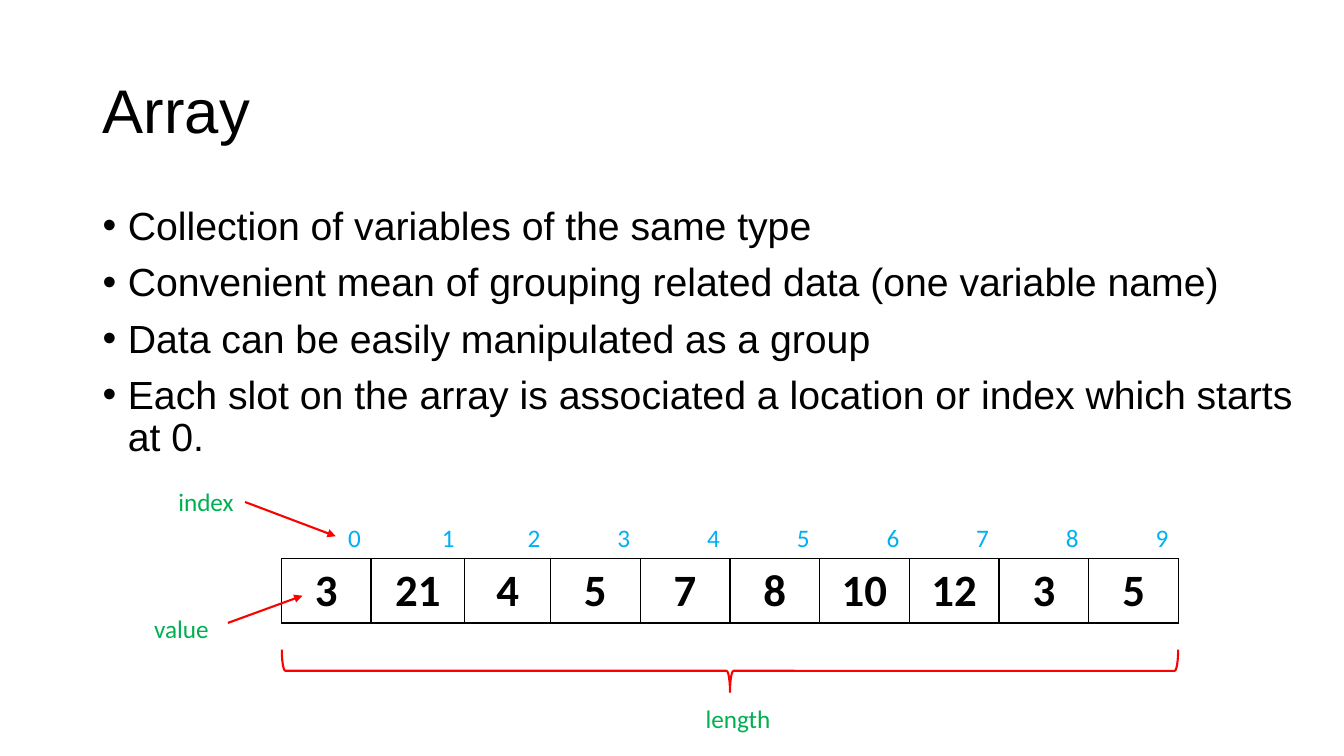
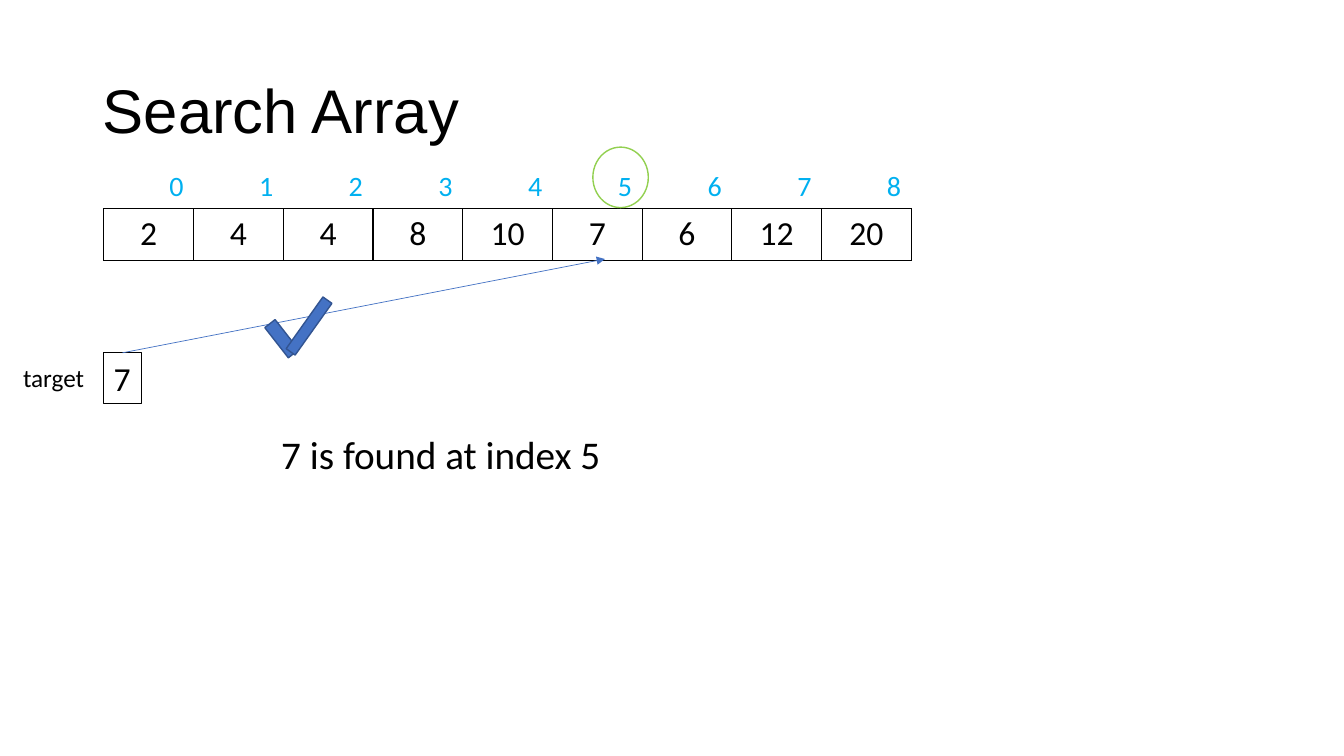
"""Build two slides that explain arrays and searching an array."""
from dataclasses import dataclass

from lxml.etree import SubElement
from pptx import Presentation
from pptx.dml.color import RGBColor
from pptx.enum.shapes import MSO_CONNECTOR, MSO_SHAPE
from pptx.enum.text import MSO_ANCHOR, MSO_AUTO_SIZE, PP_ALIGN
from pptx.oxml import parse_xml
from pptx.oxml.ns import nsdecls, qn
from pptx.util import Pt

PX = 9144
TITLE_ONLY = 5


@dataclass(frozen=True)
class Theme:
    heading_font: str = "Arial"
    label_font: str = "Calibri"
    ink: RGBColor = RGBColor(0x00, 0x00, 0x00)
    index: RGBColor = RGBColor(0x00, 0xB0, 0xF0)
    note: RGBColor = RGBColor(0x00, 0xB0, 0x50)
    pointer: RGBColor = RGBColor(0xFF, 0x00, 0x00)
    accent: RGBColor = RGBColor(0x44, 0x72, 0xC4)
    accent_edge: RGBColor = RGBColor(0x32, 0x54, 0x91)
    highlight: RGBColor = RGBColor(0x92, 0xD0, 0x50)
    title_size: int = 44
    body_size: int = 28
    value_size: int = 24
    large_value_size: int = 32
    large_index_size: int = 20
    label_size: int = 18


THEME = Theme()


def px(*lengths):
    return [length * PX for length in lengths]


def add_run(paragraph, text, size, color=THEME.ink, font=THEME.label_font, bold=False):
    run = paragraph.add_run()
    run.text = text
    run.font.name = font
    run.font.size = Pt(size)
    run.font.bold = bold
    run.font.color.rgb = color


def add_titled_slide(prs, title_text):
    slide = prs.slides.add_slide(prs.slide_layouts[TITLE_ONLY])
    title = slide.shapes.title
    title.left, title.top, title.width, title.height = px(92, 40, 1150, 145)
    title.text_frame.vertical_anchor = MSO_ANCHOR.MIDDLE
    paragraph = title.text_frame.paragraphs[0]
    paragraph.alignment = PP_ALIGN.LEFT
    paragraph.line_spacing = 0.9
    add_run(paragraph, title_text, THEME.title_size, font=THEME.heading_font)
    return slide


def add_bullets(slide, box, points):
    frame = slide.shapes.add_textbox(*px(*box)).text_frame
    frame.word_wrap = True
    for number, point in enumerate(points):
        paragraph = frame.add_paragraph() if number else frame.paragraphs[0]
        paragraph.line_spacing = 0.9
        paragraph.space_before = Pt(10)
        properties = paragraph._p.get_or_add_pPr()
        properties.set("marL", str(25 * PX))
        properties.set("indent", str(-25 * PX))
        SubElement(properties, qn("a:buFont"), typeface=THEME.heading_font)
        SubElement(properties, qn("a:buChar"), char="•")
        add_run(paragraph, point, THEME.body_size, font=THEME.heading_font)


def add_label(slide, box, text, size=THEME.label_size, color=THEME.ink):
    label = slide.shapes.add_textbox(*px(*box))
    label.text_frame.word_wrap = False
    label.text_frame.auto_size = MSO_AUTO_SIZE.SHAPE_TO_FIT_TEXT
    add_run(label.text_frame.paragraphs[0], text, size, color)
    return label


def set_borders(cell, sides):
    properties = cell._tc.get_or_add_tcPr()
    for position, side in enumerate(sides):
        properties.insert(position, parse_xml(
            f'<a:ln{side} {nsdecls("a")} w="{Pt(1)}"><a:solidFill>'
            f'<a:srgbClr val="{THEME.ink}"/></a:solidFill></a:ln{side}>'))


def add_array(slide, left, top, widths, heights, values, index_size, value_size, bold=False):
    """Draw a row of indexes above a bordered row of values."""
    frame = slide.shapes.add_table(
        2, len(values), *px(left, top, sum(widths), sum(heights)))
    table = frame.table
    table.first_row = table.horz_banding = False
    for row, height in zip(table.rows, heights):
        row.height = height * PX
    rows = (
        (range(len(values)), PP_ALIGN.RIGHT, index_size, THEME.index, False, "B"),
        (values, PP_ALIGN.CENTER, value_size, THEME.ink, bold, "LRTB"),
    )
    for column, width in enumerate(widths):
        table.columns[column].width = width * PX
        for row, (entries, align, size, color, weight, sides) in enumerate(rows):
            cell = table.cell(row, column)
            cell.fill.background()
            set_borders(cell, sides)
            paragraph = cell.text_frame.paragraphs[0]
            paragraph.alignment = align
            add_run(paragraph, str(entries[column]), size, color, bold=weight)


def add_arrow(slide, start, end, color, weight):
    arrow = slide.shapes.add_connector(MSO_CONNECTOR.STRAIGHT, *px(*start, *end))
    arrow.line.color.rgb = color
    arrow.line.width = Pt(weight)
    properties = arrow.element.spPr
    SubElement(properties.find(qn("a:ln")), qn("a:tailEnd"), type="triangle")
    SubElement(properties, qn("a:effectLst"))
    return arrow


def add_figure(shapes, kind, box, edge, weight=1, fill=None, rotation=0):
    figure = shapes.add_shape(kind, *px(*box))
    figure.shadow.inherit = False
    figure.rotation = rotation
    figure.line.color.rgb = edge
    figure.line.width = Pt(weight)
    if fill is None:
        figure.fill.background()
    else:
        figure.fill.solid()
        figure.fill.fore_color.rgb = fill


def add_check_mark(slide):
    strokes = slide.shapes.add_group_shape().shapes
    for box, rotation in (((273, 317, 13, 38), 322), ((301, 292, 11, 63), 35.4)):
        add_figure(strokes, MSO_SHAPE.RECTANGLE, box, THEME.accent_edge,
                   fill=THEME.accent, rotation=rotation)


def build_array_slide(prs):
    slide = add_titled_slide(prs, "Array")
    add_bullets(slide, (92, 200, 1215, 476), (
        "Collection of variables of the same type",
        "Convenient mean of grouping related data (one variable name)",
        "Data can be easily manipulated as a group",
        "Each slot on the array is associated a location or index which starts at 0.",
    ))
    add_array(slide, 279, 514, [89, 93, 85] + [89] * 7, (40, 64),
              (3, 21, 4, 5, 7, 8, 10, 12, 3, 5),
              THEME.label_size, THEME.large_value_size, bold=True)
    for box, text in (((167, 478, 76, 40), "index"),
                      ((143, 604, 75, 40), "value"),
                      ((690, 693, 85, 40), "length")):
        add_label(slide, box, text, color=THEME.note)
    for start, end in (((243, 498), (333, 532)), ((226, 618), (300, 591))):
        add_arrow(slide, start, end, THEME.pointer, 1.5)
    add_figure(slide.shapes, MSO_SHAPE.RIGHT_BRACE, (703, 221, 42, 889),
               THEME.pointer, 1.5, rotation=90)


def build_search_slide(prs):
    slide = add_titled_slide(prs, "Search Array")
    add_array(slide, 103, 163, [89] * 9, (44, 51), (2, 4, 4, 8, 10, 7, 6, 12, 20),
              THEME.large_index_size, THEME.value_size)
    target = add_label(slide, (103, 350, 37, 50), "7", THEME.value_size)
    target.line.color.rgb = THEME.ink
    target.line.width = Pt(0.75)
    add_label(slide, (13, 355, 81, 40), "target")
    match = add_arrow(slide, (121, 350), (600, 257), THEME.accent, 0.5)
    match.begin_connect(target, 0)
    add_check_mark(slide)
    add_figure(slide.shapes, MSO_SHAPE.OVAL, (588, 146, 55, 60), THEME.highlight)
    add_label(slide, (269, 422, 341, 57), "7 is found at index 5", THEME.body_size)


def main():
    prs = Presentation()
    prs.slide_width, prs.slide_height = px(1333, 750)
    build_array_slide(prs)
    build_search_slide(prs)
    prs.save("out.pptx")


if __name__ == "__main__":
    main()
